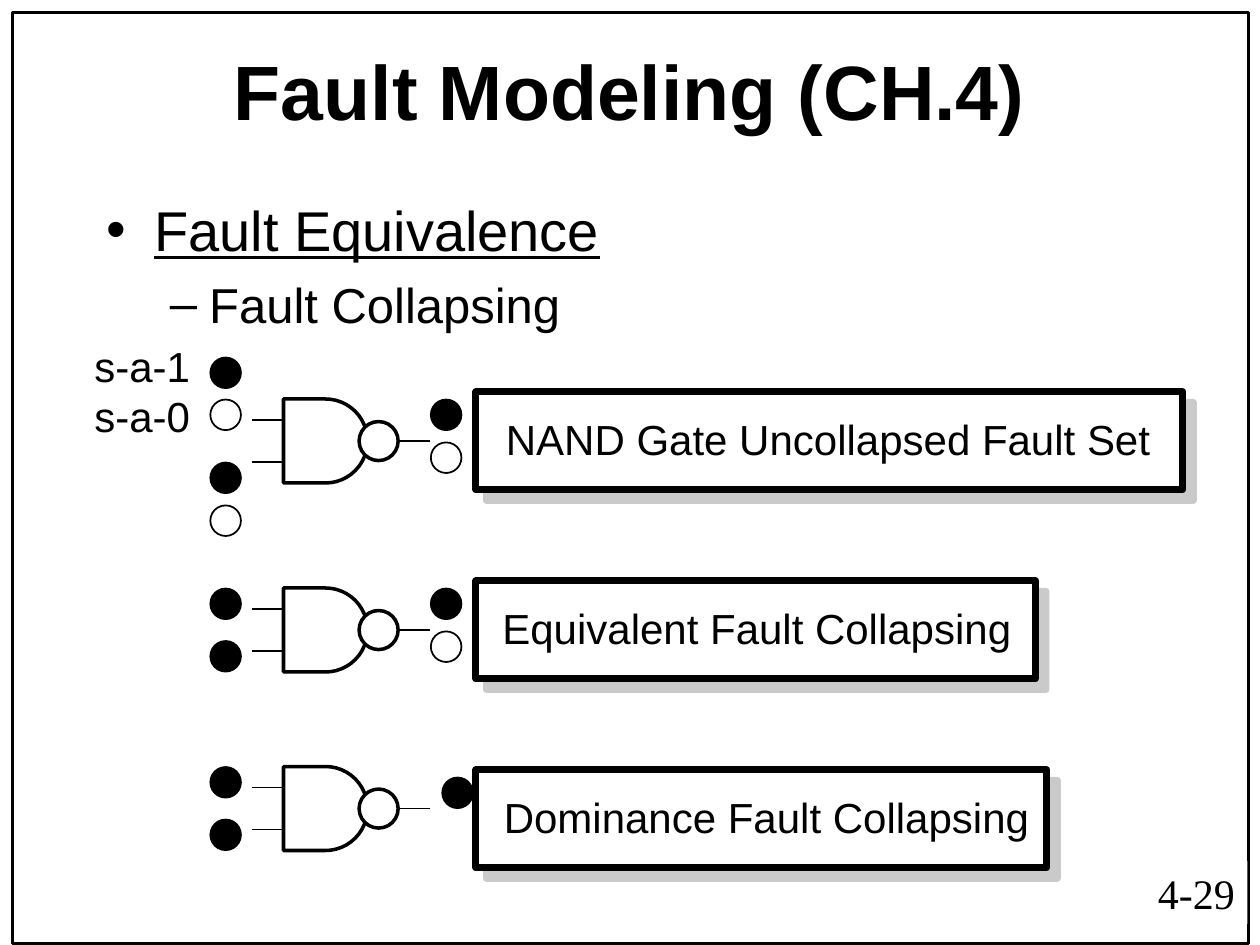
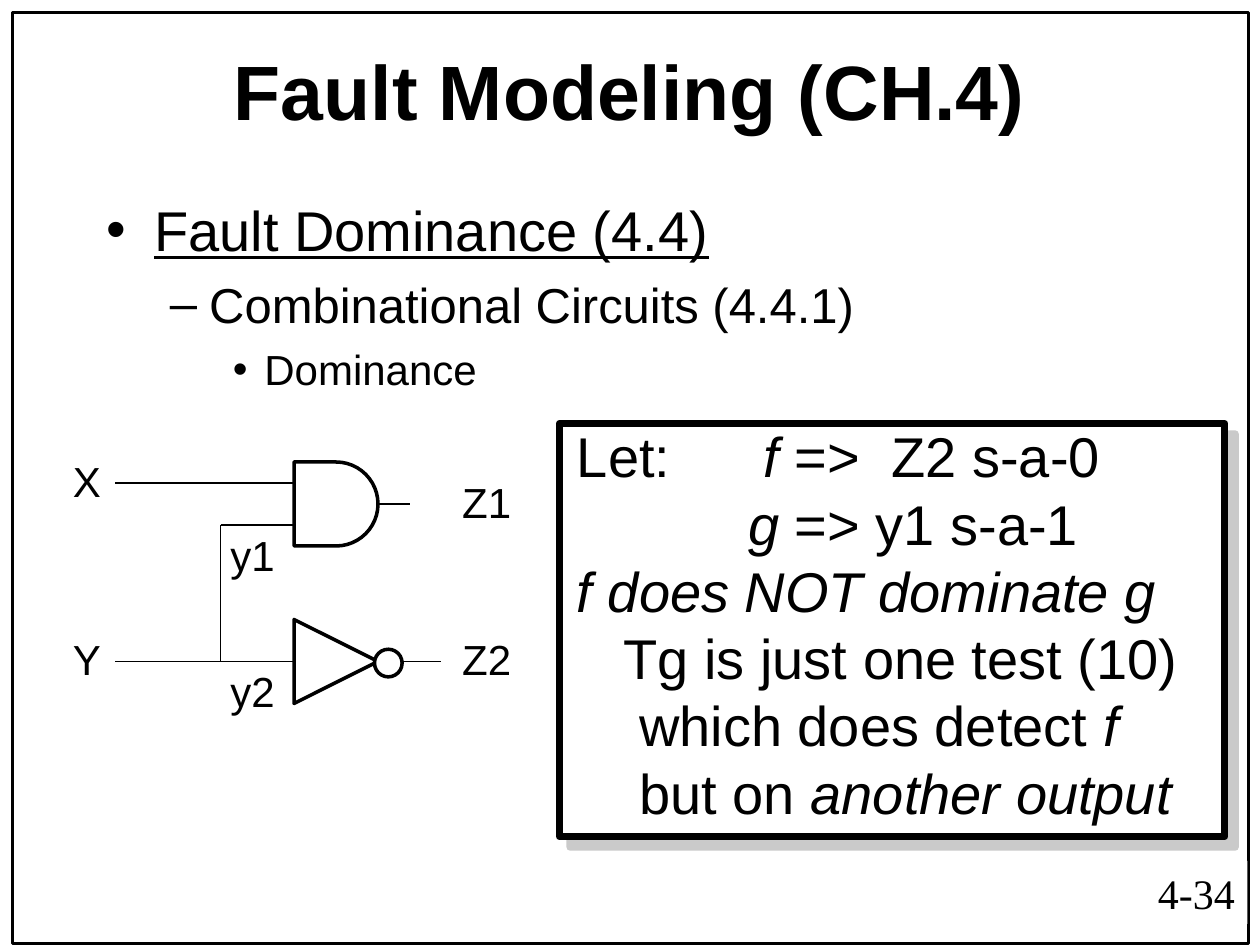
from pptx import Presentation
from pptx.util import Pt
from pptx.dml.color import RGBColor
from pptx.enum.shapes import MSO_SHAPE, MSO_CONNECTOR
from pptx.enum.text import PP_ALIGN, MSO_ANCHOR, MSO_AUTO_SIZE
from pptx.oxml.ns import qn
from lxml.etree import SubElement

BLACK, WHITE, SHADE = "000000", "FFFFFF", "969696"
THIN, BOLD, HEAVY = 1, 2, 4
GATE = 48      # side of a gate
DOT = 17.5     # diameter of a fault mark
SPACE = 8.89   # width of a space at 32 pt
# bullet, size, left margin, hang, space before
LEVELS = [("•", 32, 27, 27, 8), ("–", 28, 58.5, 22.5, 7), ("•", 24, 90, 18, 6)]


def color(code):
    return RGBColor.from_string(code)


# ---- basic parts ----
def paint(shape, fill, line):
    shape.shadow.inherit = False
    if fill:
        shape.fill.solid()
        shape.fill.fore_color.rgb = color(fill)
    else:
        shape.fill.background()
    if line:
        shape.line.color.rgb = color(BLACK)
        shape.line.width = Pt(line)
    else:
        shape.line.fill.background()
    return shape


def draw(slide, kind, x, y, w, h, fill=None, line=BOLD):
    shape = slide.shapes.add_shape(kind, Pt(x), Pt(y), Pt(w), Pt(h))
    return paint(shape, fill, line)


def wire(slide, x1, y1, x2, y2):
    link = slide.shapes.add_connector(
        MSO_CONNECTOR.STRAIGHT, Pt(x1), Pt(y1), Pt(x2), Pt(y2))
    link.line.color.rgb = color(BLACK)
    link.line.width = Pt(THIN)
    SubElement(link._element.spPr, qn("a:effectLst"))


def style(para, size, font="Arial"):
    para.line_spacing = Pt(round(size * 1.2, 1))
    for run in para.runs:
        run.font.size = Pt(size)
        run.font.name = font
        run.font.color.rgb = color(BLACK)


def text(slide, x, y, w, h, lines, size=24, font="Arial", wrap=False):
    box = slide.shapes.add_textbox(Pt(x), Pt(y), Pt(w), Pt(h))
    frame = box.text_frame
    frame.text = "\n".join(lines)
    frame.word_wrap = wrap
    frame.auto_size = MSO_AUTO_SIZE.NONE if wrap else MSO_AUTO_SIZE.SHAPE_TO_FIT_TEXT
    for para in frame.paragraphs:
        style(para, size, font)
    return box


def panel(slide, x, y, w, h):
    """White box with a thick border and a hard shadow."""
    box = draw(slide, MSO_SHAPE.RECTANGLE, x, y, w, h, WHITE, HEAVY)
    effect = box._element.spPr.find(qn("a:effectLst"))
    shadow = SubElement(effect, qn("a:outerShdw"), blurRad="0",
                        dist=str(Pt(8.5)), dir="2700000", algn="ctr", rotWithShape="0")
    tint = SubElement(shadow, qn("a:srgbClr"), val=SHADE)
    SubElement(tint, qn("a:alpha"), val="50000")


# ---- shared by all slides ----
def base(deck, items, height, page):
    slide = deck.slides.add_slide(deck.slide_layouts[6])
    draw(slide, MSO_SHAPE.RECTANGLE, 7.2, 7.2, 706.3, 532)
    title = text(slide, 54, 24, 612, 54, ["Fault Modeling (CH.4)"], 44, wrap=True)
    title.text_frame.vertical_anchor = MSO_ANCHOR.MIDDLE
    head = title.text_frame.paragraphs[0]
    head.alignment = PP_ALIGN.CENTER
    head.runs[0].font.bold = True
    outline(slide, 54, 108, 648, height, items)
    number = text(slide, 654.5, 492, 58.3, 36, [page], font="Times New Roman")
    number.fill.solid()
    number.fill.fore_color.rgb = color(WHITE)
    return slide


def outline(slide, x, y, w, h, items):
    body = text(slide, x, y, w, h, items, wrap=True)
    for level, para in enumerate(body.text_frame.paragraphs):
        mark, size, left, hang, before = LEVELS[level]
        style(para, size)
        para.level = level
        para.space_before = Pt(before)
        para.runs[0].font.underline = level == 0
        props = para._p.get_or_add_pPr()
        props.set("marL", str(Pt(left)))
        props.set("indent", str(-Pt(hang)))
        SubElement(props, qn("a:buFont"), typeface="Arial")
        SubElement(props, qn("a:buChar"), char=mark)


# ---- gates ----
def gate(slide, x, y, tail=66):
    """AND body with two inputs and an output that ends at x + tail."""
    for dy in (GATE / 4, GATE * 3 / 4):
        wire(slide, x - 18, y + dy, x, y + dy)
    wire(slide, x + GATE, y + GATE / 2, x + tail, y + GATE / 2)
    draw(slide, MSO_SHAPE.FLOWCHART_DELAY, x, y, GATE, GATE)


def nand(slide, x, y):
    gate(slide, x, y, 84)
    draw(slide, MSO_SHAPE.OVAL, x + 43.2, y + 12.9, 22.3, 22.3, WHITE)


def invert(slide, x, y):
    mid = y + GATE / 2
    wire(slide, x - 24, mid, x, mid)
    wire(slide, x + 60, mid, x + 84, mid)
    pen = slide.shapes.build_freeform(Pt(x), Pt(y))
    pen.add_line_segments([(Pt(x + GATE), Pt(mid)), (Pt(x), Pt(y + GATE))])
    paint(pen.convert_to_shape(), None, BOLD)
    draw(slide, MSO_SHAPE.OVAL, x + 46, mid - 7, 15.8, 15.8, WHITE)


# ---- slide 1: one gate with its fault marks and caption ----
def fault(slide, x, y, marks):
    for dx, dy, fill in marks:
        draw(slide, MSO_SHAPE.OVAL, x + dx, y + dy, DOT, DOT, fill, THIN)


def caption(slide, x, y, w, words, inset, span):
    panel(slide, x, y, w, 56)
    text(slide, x + inset, y + 8.6, span, 36, [words])


def collapse(deck):
    slide = base(deck, ["Fault Equivalence", "Fault Collapsing"], 96, "4-29")
    out = 126
    pair = [(0, 0, BLACK), (0, 30, BLACK)]
    both = [(out, 0, BLACK), (out, 24.5, WHITE)]
    full = [(0, -24, BLACK), (0, 0, WHITE), (0, 36, BLACK), (0, 60.5, WHITE)]
    # gate top, marks, caption, caption width, text inset, text width
    rows = [
        (228, full + both, "NAND Gate Uncollapsed Fault Set", 404, 10, 383),
        (336, pair + both, "Equivalent Fault Collapsing", 319.7, 8, 305.3),
        (438, pair + [(out + 6.5, 6, BLACK)],
         "Dominance Fault Collapsing", 326.2, 8.8, 314.6),
    ]
    for i, (y, marks, words, w, inset, span) in enumerate(rows):
        nand(slide, 162, y)
        caption(slide, 272, 224 + 108 * i, w, words, inset, span)
        fault(slide, 120.2, y + 0.3, marks)
    text(slide, 46.8, 190.8, 69, 64.8, ["s-a-1", "s-a-0"])


# ---- slide 2 ----
def circuit(slide, x, y):
    """Two-output circuit with its labels."""
    gate(slide, x + 102, y)
    invert(slide, x + 102, y + 90)
    wire(slide, x, y + 12, x + 84, y + 12)
    wire(slide, x + 60, y + 36, x + 84, y + 36)
    wire(slide, x + 60, y + 36, x + 60, y + 114)
    wire(slide, x, y + 114, x + 78, y + 114)
    for name, dx, dy, w in [("X", -31.5, -7, 30.2), ("Y", -31.5, 94.6, 30.2),
                            ("Z1", 191, 4.6, 42.5), ("Z2", 191, 94.6, 42.5),
                            ("y1", 58.6, 34.8, 39.6), ("y2", 58.6, 112.6, 39.6)]:
        text(slide, x + dx, y + dy, w, 36, [name])


def proof(slide, x, y, w, h):
    """Panel of statements; each line is an indent in spaces and its runs."""
    panel(slide, x, y, w, h)
    lines = [
        (0, [("Let:\t", False), ("f ", True), ("=>\tZ2 s-a-0", False)]),
        (11, [("g ", True), ("=> y1 s-a-1", False)]),
        (0, [("f does NOT dominate g", True)]),
        (3, [("Tg is just one test (10)", False)]),
        (4, [("which does detect", False), (" f", True)]),
        (4, [("but on ", False), ("another output", True)]),
    ]
    box = text(slide, x + 2.9, y - 4.3, 358.6, 237.6, [""] * len(lines))
    for para, (gap, parts) in zip(box.text_frame.paragraphs, lines):
        for words, slant in parts:
            run = para.add_run()
            run.text = words
            run.font.italic = slant
        style(para, 32)
        para._p.get_or_add_pPr().set("marL", str(Pt(gap * SPACE)))
    # tab stops of the first line
    props = box.text_frame.paragraphs[0]._p.get_or_add_pPr()
    stops = SubElement(props, qn("a:tabLst"))
    for pos in (106.7, 179.7):
        SubElement(stops, qn("a:tab"), pos=str(Pt(pos)), algn="l")


def dominance(deck):
    slide = base(deck, ["Fault Dominance (4.4)", "Combinational Circuits (4.4.1)",
                        "Dominance"], 120, "4-34")
    proof(slide, 319.7, 241.9, 380.2, 236.2)
    circuit(slide, 66, 264)


deck = Presentation()
deck.slide_width, deck.slide_height = Pt(720), Pt(540)
collapse(deck)
dominance(deck)
deck.save("out.pptx")
